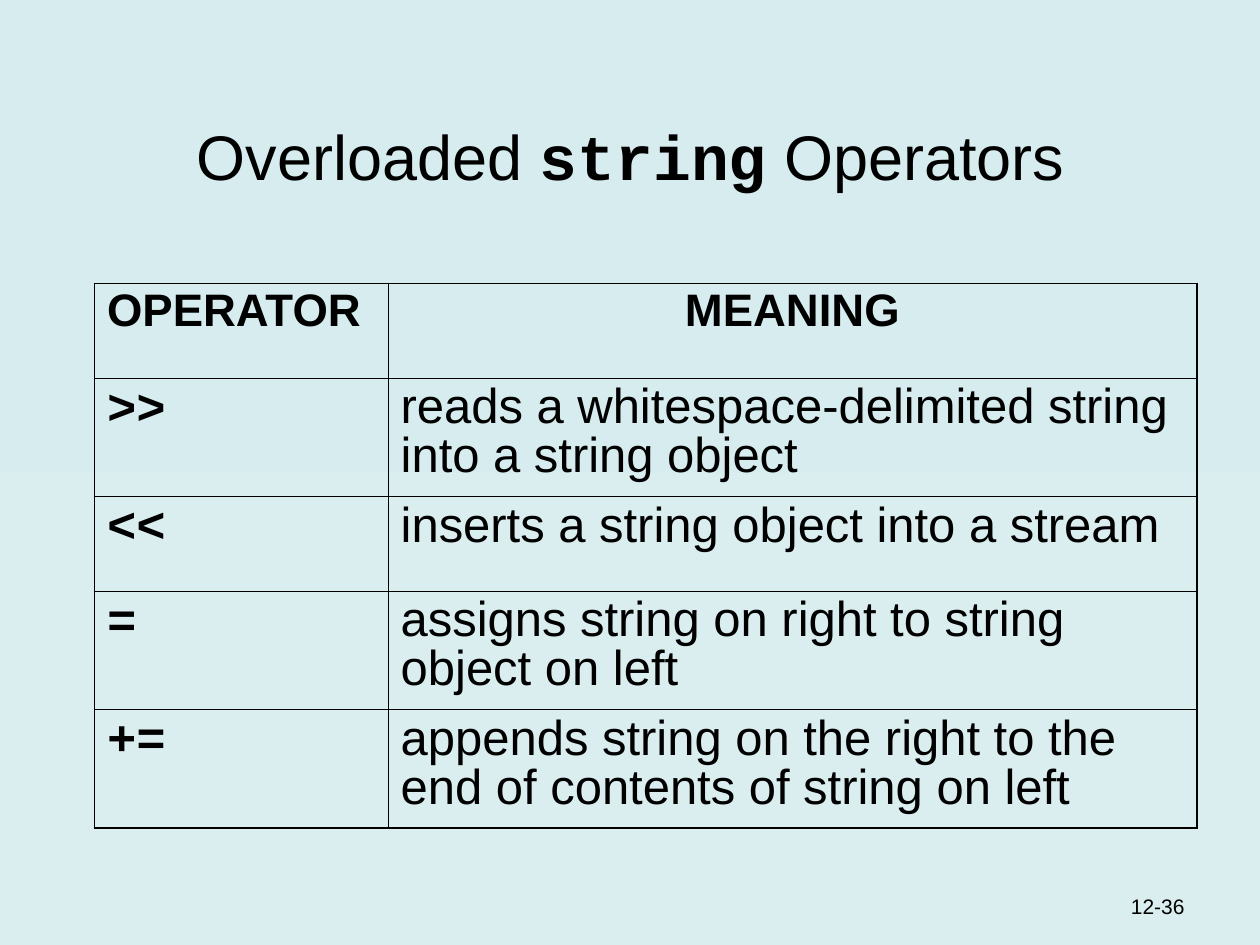
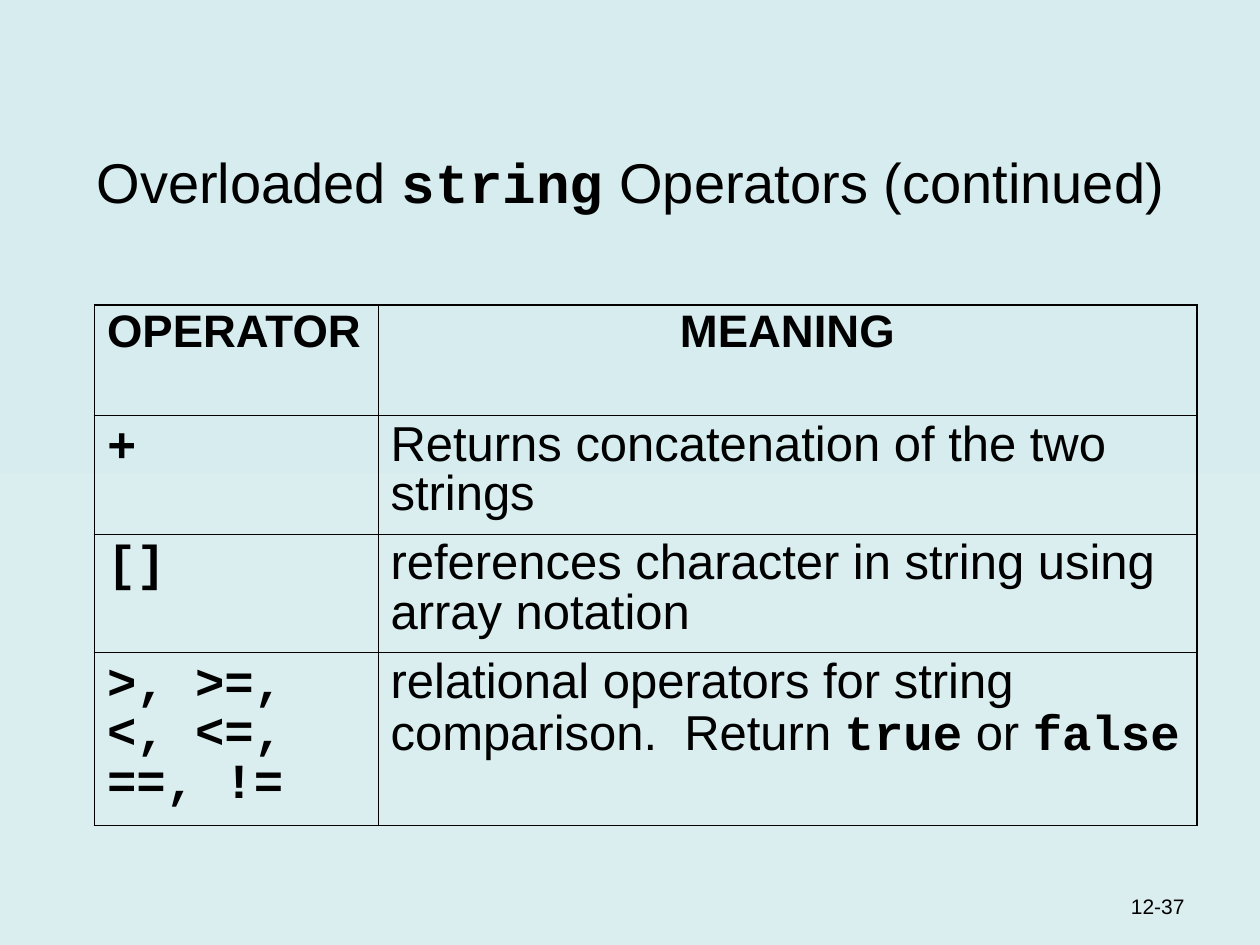
from lxml.etree import SubElement
from pptx import Presentation
from pptx.dml.color import RGBColor as RGB
from pptx.enum.text import MSO_ANCHOR as ANCHOR, PP_ALIGN as ALIGN
from pptx.oxml.ns import qn
from pptx.util import Inches, Pt

COLORS = {"text": "000000", "bg_bottom": "DAEDEF", "bg_top": "D6ECEE"}
BODY, CODE = "Arial", "Courier New"
OUTER, INNER = 1.08, 0.45  # border widths in points

prs = Presentation()
prs.slide_width, prs.slide_height = Inches(10), Inches(7.5)
W, H = prs.slide_width, prs.slide_height


def write(tf, text, size, align=ALIGN.LEFT, bold=False, spacing=None, before=0):
    """Fill a text frame; words between backticks are set as bold code."""
    tf.word_wrap = True
    p = tf.paragraphs[0]
    p.alignment, p.line_spacing, p.space_before = align, spacing, Pt(before)
    for i, part in enumerate(text.split("`")):
        if part:
            is_code = i % 2 == 1
            r = p.add_run()
            r.text = part
            r.font.name = CODE if is_code else BODY
            r.font.size, r.font.bold = Pt(size), bold or is_code
            r.font.color.rgb = RGB.from_string(COLORS["text"])


def add_border(cell, side, width):
    ln = SubElement(cell._tc.get_or_add_tcPr(), qn(f"a:ln{side}"), w=str(Pt(width)))
    fill = SubElement(ln, qn("a:solidFill"))
    SubElement(fill, qn("a:srgbClr"), val=COLORS["text"])


# Content; heights and widths are in inches
header = ("OPERATOR", "MEANING")
slides = [
    dict(title="Overloaded `string` Operators", title_size=36, title_top=0.33,
         table_top=2.25, cols=(2.33, 6.42), row_heights=(0.75, 0.94, 0.75, 0.94, 0.94),
         rows=[("`>>`", "reads a whitespace-delimited string into a string object"),
               ("`<<`", "inserts a string object into a stream"),
               ("`=`", "assigns string on right to string object on left"),
               ("`+=`", "appends string on the right to the end of contents "
                        "of string on left")],
         number="12-36"),
    dict(title="Overloaded `string` Operators (continued)", title_size=32, title_top=0.5,
         table_top=2.42, cols=(2.25, 6.5), row_heights=(0.88, 0.94, 0.94, 1.37),
         rows=[("`+`", "Returns concatenation of the two strings"),
               ("`[]`", "references character in string using array notation"),
               ("`>, >=, <, <=, ==, !=`", "relational operators for string comparison.  "
                                          "Return `true` or `false`")],
         number="12-37"),
]

for d in slides:
    s = prs.slides.add_slide(prs.slide_layouts[6])

    # Background
    bg = s.background.fill
    bg.gradient()
    bg.gradient_angle = 90
    for stop, name in zip(bg.gradient_stops, ("bg_bottom", "bg_top")):
        stop.color.rgb = RGB.from_string(COLORS[name])

    # Title and slide number
    for text, size, align, box in (
        (d["title"], d["title_size"], ALIGN.CENTER,
         (int(W * 0.042), Inches(d["title_top"]), int(W * 0.917), int(H / 6))),
        (d["number"], 12, ALIGN.RIGHT,
         (int(W * 0.742), int(H * 0.912), int(W * 0.208), int(H / 15))),
    ):
        tf = s.shapes.add_textbox(*box).text_frame
        tf.vertical_anchor = ANCHOR.BOTTOM
        write(tf, text, size, align)

    # Table
    rows = [header] + d["rows"]
    last_row, last_col = len(rows) - 1, len(header) - 1
    table = s.shapes.add_table(
        len(rows), len(header), int(W * 0.075), Inches(d["table_top"]),
        int(W * 0.875), Inches(sum(d["row_heights"]))).table
    table.first_row = table.horz_banding = False
    for col, width in zip(table.columns, d["cols"]):
        col.width = Inches(width)
    for row, height in zip(table.rows, d["row_heights"]):
        row.height = Inches(height)

    for i, texts in enumerate(rows):
        for j, text in enumerate(texts):
            cell = table.cell(i, j)
            edges = {"L": j == 0, "R": j == last_col, "T": i == 0, "B": i == last_row}
            for side, is_outer in edges.items():
                add_border(cell, side, OUTER if is_outer else INNER)
            cell.fill.background()
            if i == 0:
                write(cell.text_frame, text, 26, ALIGN.CENTER if j else ALIGN.LEFT,
                      bold=True, spacing=0.9, before=6.5)
            else:
                write(cell.text_frame, text, 28, spacing=0.9, before=7)

prs.save("out.pptx")
